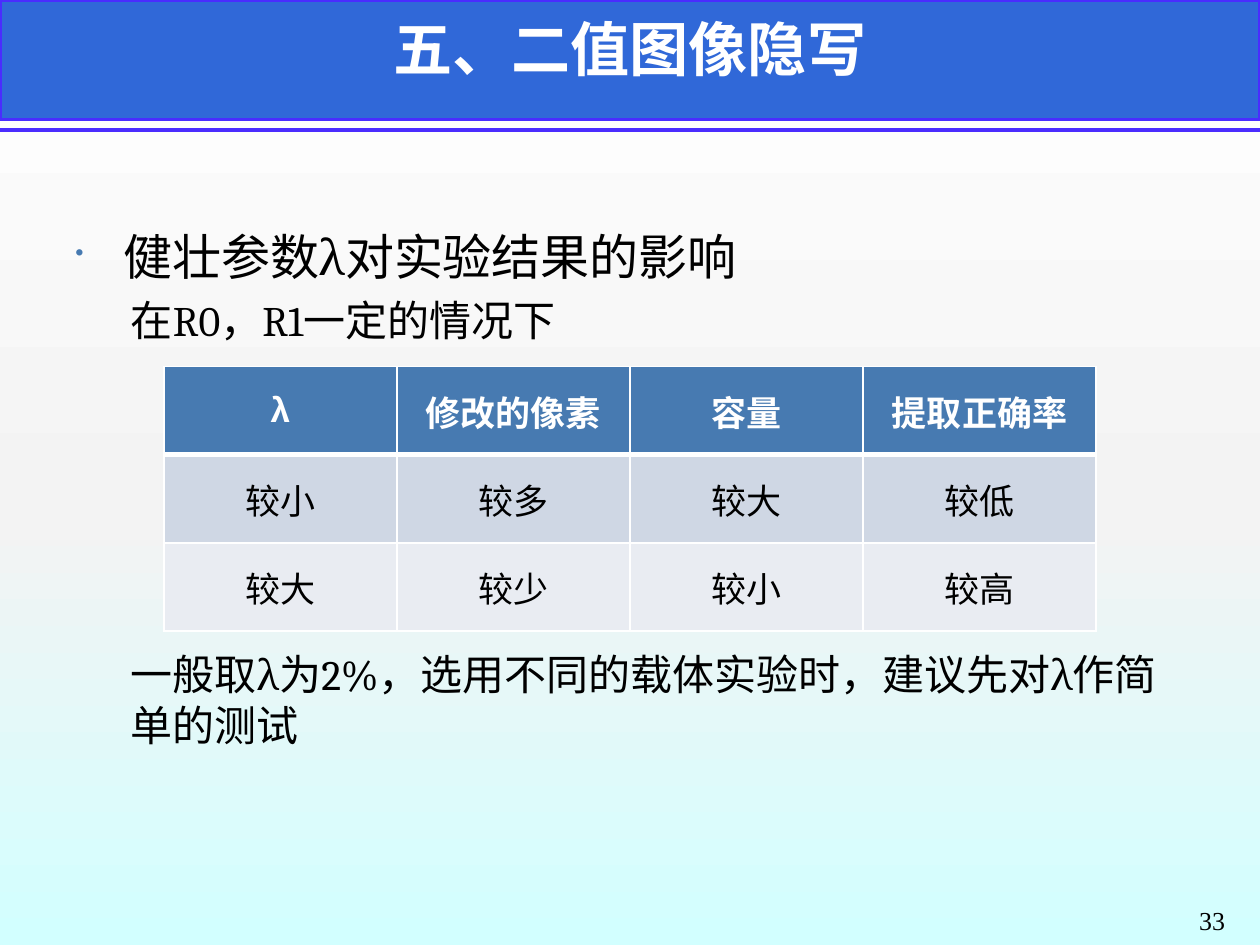
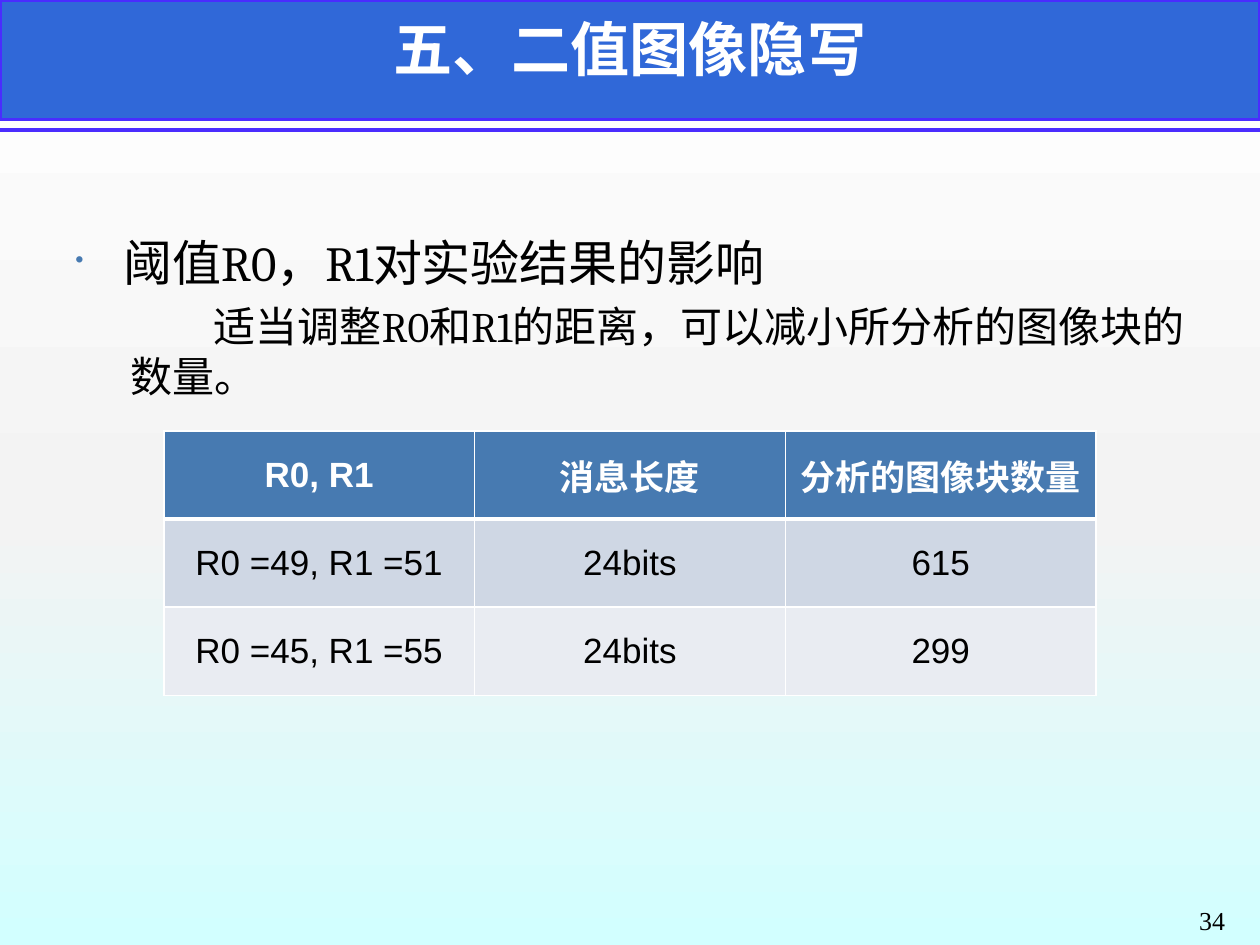
from copy import deepcopy
from dataclasses import dataclass

from lxml import etree
from pptx import Presentation
from pptx.dml.color import RGBColor
from pptx.enum import shapes, text
from pptx.oxml.ns import qn
from pptx.util import Inches, Pt


@dataclass(frozen=True)
class Theme:
    band: str = "3068D8"
    edge: str = "4A2CFE"
    head: str = "477AB1"
    rows: tuple = ("CFD7E4", "E9ECF2")
    white: str = "FFFFFF"
    black: str = "000000"
    back: tuple = ((0, "FFFFFF"), (0.55, "F3F3F3"), (1, "D2FFFF"))
    title: float = 33.8
    topic: float = 28
    note: float = 24
    cell: float = 20
    page: float = 14.8


T = Theme()
TITLE = "五、二值图像隐写"
MID, RIGHT = text.PP_ALIGN.CENTER, text.PP_ALIGN.RIGHT


def rgb(code):
    return RGBColor.from_string(code)


def write(para, words, size, font="Cambria", color=T.black, bold=False, align=None):
    run = para.add_run()
    run.text = words
    run.font.size, run.font.name, run.font.bold = Pt(size), font, bold
    run.font.color.rgb = rgb(color)
    if align is not None:
        para.alignment = align


def indent(para, left, first=0):
    props = para._p.get_or_add_pPr()
    props.set("marL", str(Inches(left)))
    props.set("indent", str(Inches(first)))
    return props


def bullet(para):
    props = indent(para, 0.38, -0.38)
    tint = etree.SubElement(props, qn("a:buClr"))
    etree.SubElement(tint, qn("a:srgbClr"), val=T.head)
    etree.SubElement(props, qn("a:buSzPct"), val="50000")
    etree.SubElement(props, qn("a:buChar"), char="•")


def add_box(slide, left, top, width, height):
    frame = slide.shapes.add_textbox(
        Inches(left), Inches(top), Inches(width), Inches(height)).text_frame
    frame.word_wrap = True
    return frame


def set_back(master):
    """Give the master a vertical gradient with all the theme's stops."""
    fill = master.background.fill
    fill.gradient()
    fill.gradient_angle = 270
    stops = master.element.find(".//" + qn("a:gsLst"))
    stops.append(deepcopy(stops[-1]))
    for stop, (place, color) in zip(fill.gradient_stops, T.back):
        stop.color.rgb = rgb(color)
        stop.position = place


def add_band(slide):
    band = slide.shapes.add_shape(
        shapes.MSO_SHAPE.RECTANGLE, 0, 0, Inches(10), Inches(0.95))
    band.shadow.inherit = False
    band.fill.solid()
    band.fill.fore_color.rgb = rgb(T.band)
    rule = slide.shapes.add_connector(
        shapes.MSO_CONNECTOR.STRAIGHT, 0, Inches(1.03), Inches(10), Inches(1.03))
    etree.SubElement(rule.element.spPr, qn("a:effectLst"))
    for part in (band, rule):
        part.line.color.rgb = rgb(T.edge)
        part.line.width = Pt(2)
        slide.shapes.title.element.addprevious(part.element)


def add_page(deck, number):
    slide = deck.slides.add_slide(deck.slide_layouts[5])
    add_band(slide)
    title = slide.shapes.title
    title.left, title.top = 0, Inches(0.05)
    title.width, title.height = Inches(10), Inches(0.86)
    frame = title.text_frame
    frame.auto_size = text.MSO_AUTO_SIZE.NONE
    frame.vertical_anchor = text.MSO_ANCHOR.TOP
    write(frame.paragraphs[0], TITLE, T.title, font="Lato", color=T.white,
          bold=True, align=MID)
    foot = add_box(slide, 7.5, 7.13, 2.32, 0.36)
    write(foot.paragraphs[0], str(number), T.page, font="Times New Roman",
          align=RIGHT)
    return slide


def add_topic(slide, top, topic, note, first=0):
    frame = add_box(slide, 0.5, top, 9, 1.1)
    head = frame.paragraphs[0]
    bullet(head)
    write(head, topic, T.topic)
    para = frame.add_paragraph()
    indent(para, 0.44, first)
    para.space_before = Pt(5)
    write(para, note, T.note)


def add_note(slide, top, note):
    para = add_box(slide, 0.5, top, 9, 0.9).paragraphs[0]
    indent(para, 0.44)
    write(para, note, T.note)


def set_edges(cell, row):
    """Draw white cell borders, heavy between header and body."""
    props = cell._tc.get_or_add_tcPr()
    for side in "LRTB":
        heavy = (row, side) in ((0, "B"), (1, "T"))
        line = etree.SubElement(props, qn("a:ln" + side),
                                w=str(Pt(3 if heavy else 1)))
        fill = etree.SubElement(line, qn("a:solidFill"))
        etree.SubElement(fill, qn("a:srgbClr"), val=T.white)


def add_grid(slide, top, data):
    grid = slide.shapes.add_table(
        len(data), len(data[0]), Inches(1.3), Inches(top),
        Inches(7.4), Inches(0.7 * len(data))).table
    for r, row in enumerate(data):
        for c, words in enumerate(row):
            cell = grid.cell(r, c)
            set_edges(cell, r)
            cell.fill.solid()
            cell.fill.fore_color.rgb = rgb(T.rows[(r - 1) % 2] if r else T.head)
            cell.vertical_anchor = text.MSO_ANCHOR.MIDDLE
            write(cell.text_frame.paragraphs[0], words, T.cell, font="Arial",
                  color=T.black if r else T.white, bold=not r, align=MID)


def main():
    deck = Presentation()
    deck.slide_width, deck.slide_height = Inches(10), Inches(7.5)
    set_back(deck.slide_master)

    slide = add_page(deck, 33)
    add_topic(slide, 1.75, "健壮参数λ对实验结果的影响", "在R0，R1一定的情况下")
    add_grid(slide, 2.91, [
        ("λ", "修改的像素", "容量", "提取正确率"),
        ("较小", "较多", "较大", "较低"),
        ("较大", "较少", "较小", "较高"),
    ])
    add_note(slide, 5.1, "一般取λ为2%，选用不同的载体实验时，建议先对λ作简单的测试")

    slide = add_page(deck, 34)
    add_topic(slide, 1.8, "阈值R0，R1对实验结果的影响",
              "适当调整R0和R1的距离，可以减小所分析的图像块的数量。", first=0.66)
    add_grid(slide, 3.42, [
        ("R0, R1", "消息长度", "分析的图像块数量"),
        ("R0 =49, R1 =51", "24bits", "615"),
        ("R0 =45, R1 =55", "24bits", "299"),
    ])
    deck.save("out.pptx")


if __name__ == "__main__":
    main()
